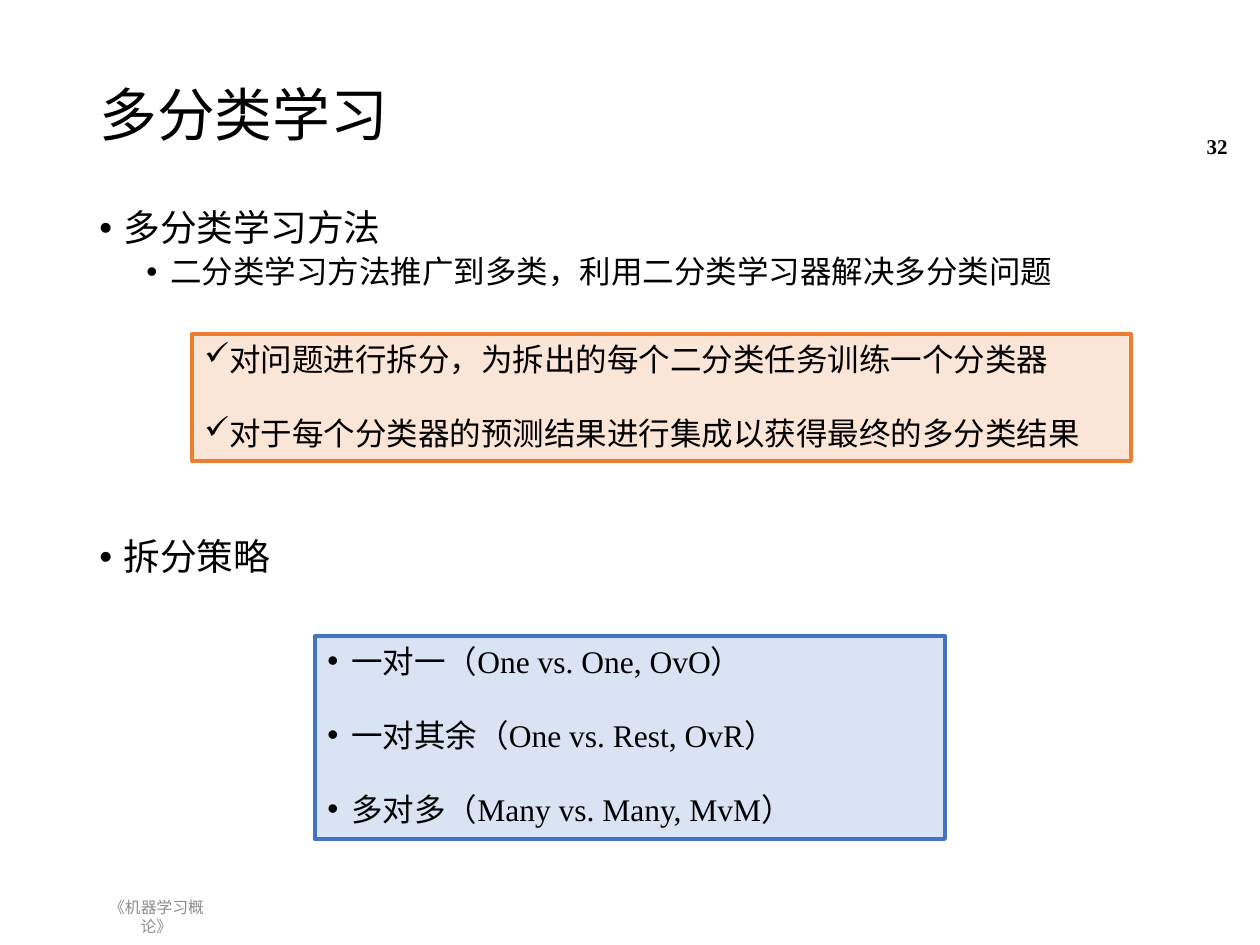
from lxml import etree
from pptx import Presentation
from pptx.dml.color import RGBColor
from pptx.enum.shapes import MSO_SHAPE
from pptx.enum.text import MSO_ANCHOR, PP_ALIGN
from pptx.oxml.ns import qn
from pptx.util import Emu, Pt

PX = 914400 // 126
INDENT = 24
FONT = "Times New Roman"
COLORS = {
    "text": "000000", "footer": "8C8C8C",
    "orange": "ED7D31", "orange_light": "FBE5D6",
    "blue": "4472C4", "blue_light": "DAE3F3",
}

# Paragraph formats: font values, then paragraph values
TITLE = {"size": 33, "line_spacing": 0.9}
TOPIC = {"size": 21, "line_spacing": 0.9, "space_before": 7.5, "bullet": "•", "margin": INDENT}
DETAIL = {"size": 18, "line_spacing": 0.9, "space_before": 3.8, "bullet": "•", "margin": 71}
CHECK = {"size": 18, "bullet": "✓", "margin": INDENT}
STRATEGY = {"size": 18, "bullet": "•", "margin": INDENT}
FOOTER = {"size": 9, "color": "footer", "alignment": PP_ALIGN.CENTER}
NUMBER = {"size": 12, "bold": True, "alignment": PP_ALIGN.RIGHT}
BOX_GAP = {"space_before": 20.7}
TOPIC_GAP = {"space_before": 142}

# Text boxes: (left, top, width, height), anchor, paragraphs
TEXTS = [
    ((87, 50, 1086, 135), MSO_ANCHOR.MIDDLE, [("多分类学习", TITLE)]),
    ((87, 204, 1086, 679), MSO_ANCHOR.TOP, [
        ("多分类学习方法", TOPIC),
        ("二分类学习方法推广到多类，利用二分类学习器解决多分类问题", DETAIL),
        ("拆分策略", TOPIC | TOPIC_GAP),
    ]),
    ((87, 898, 139, 37), MSO_ANCHOR.MIDDLE, [("《机器学习概论》", FOOTER)]),
    ((1153, 121, 87, 50), MSO_ANCHOR.MIDDLE, [("32", NUMBER)]),
]

# Framed boxes: (left, top, width, height), colour, format, lines
BOXES = [
    ((192, 334, 939, 127), "orange", CHECK, [
        "对问题进行拆分，为拆出的每个二分类任务训练一个分类器",
        "对于每个分类器的预测结果进行集成以获得最终的多分类结果",
    ]),
    ((315, 636, 630, 203), "blue", STRATEGY, [
        "一对一（One vs. One, OvO）",
        "一对其余（One vs. Rest, OvR）",
        "多对多（Many vs. Many, MvM）",
    ]),
]


def color(name):
    return RGBColor.from_string(COLORS[name])


def scaled(place):
    return [Emu(value * PX) for value in place]


def add_bullet(paragraph, character, margin):
    properties = paragraph._p.get_or_add_pPr()
    properties.set("marL", str(margin * PX))
    properties.set("indent", str(-INDENT * PX))
    if character == "•":
        etree.SubElement(properties, qn("a:buFont")).set("typeface", "Arial")
    etree.SubElement(properties, qn("a:buChar")).set("char", character)


def write(shape, anchor, paragraphs):
    frame = shape.text_frame
    frame.word_wrap = True
    frame.vertical_anchor = anchor
    for index, (text, style) in enumerate(paragraphs):
        paragraph = frame.paragraphs[0] if index == 0 else frame.add_paragraph()
        run = paragraph.add_run()
        run.text = text
        font_values = {"name": FONT, "size": Pt(style["size"]), "bold": style.get("bold", False)}
        for key, value in font_values.items():
            setattr(run.font, key, value)
        run.font.color.rgb = color(style.get("color", "text"))
        paragraph_values = {
            "alignment": style.get("alignment", PP_ALIGN.LEFT),
            "line_spacing": style.get("line_spacing", 1.0),
            "space_before": Pt(style.get("space_before", 0)),
        }
        for key, value in paragraph_values.items():
            setattr(paragraph, key, value)
        if "bullet" in style:
            add_bullet(paragraph, style["bullet"], style["margin"])


def main():
    presentation = Presentation()
    presentation.slide_width, presentation.slide_height = scaled((1260, 945))
    slide = presentation.slides.add_slide(presentation.slide_layouts[6])

    # Title, body, footer and slide number
    for place, anchor, paragraphs in TEXTS:
        write(slide.shapes.add_textbox(*scaled(place)), anchor, paragraphs)

    # Framed boxes
    for place, name, style, lines in BOXES:
        shape = slide.shapes.add_shape(MSO_SHAPE.RECTANGLE, *scaled(place))
        shape.shadow.inherit = False
        shape.fill.solid()
        shape.fill.fore_color.rgb = color(f"{name}_light")
        shape.line.color.rgb = color(name)
        shape.line.width = Pt(2.25)
        paragraphs = [(line, style | BOX_GAP if index else style) for index, line in enumerate(lines)]
        write(shape, MSO_ANCHOR.TOP, paragraphs)

    presentation.save("out.pptx")


if __name__ == "__main__":
    main()
